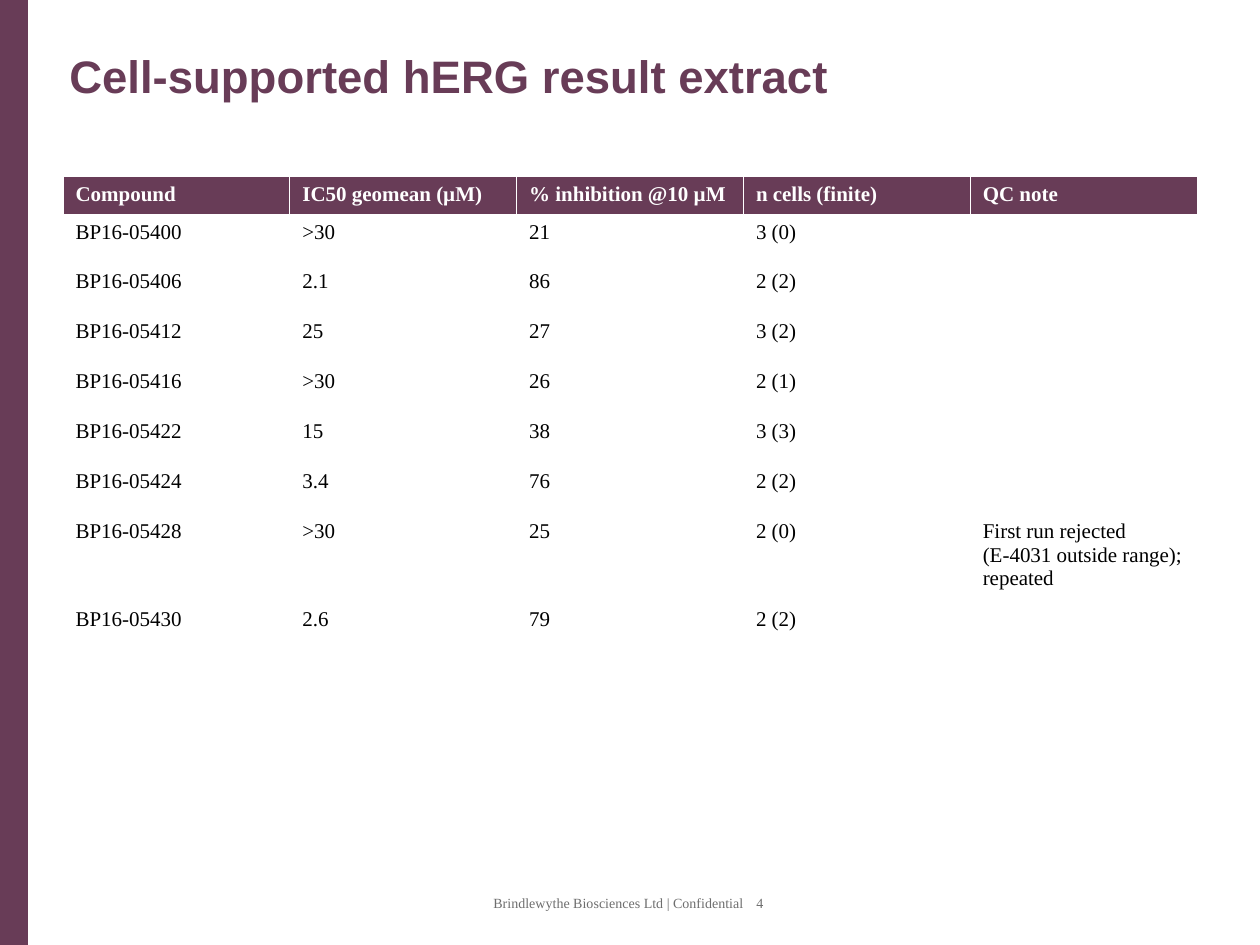
from lxml import etree
from pptx import Presentation
from pptx import util as u
from pptx.dml.color import RGBColor
from pptx.enum import shapes, text
from pptx.oxml.ns import qn

PX = u.Inches(1) / 126
PLUM = RGBColor(0x68, 0x3C, 0x57)
WHITE = RGBColor(0xFF, 0xFF, 0xFF)
BLACK = RGBColor(0, 0, 0)
GREY = RGBColor(0x6E, 0x6E, 0x6E)
SERIF = "Times New Roman"

HEADINGS = ("Compound", "IC50 geomean (µM)", "% inhibition @10 µM",
            "n cells (finite)", "QC note")
RESULTS = (
    ("BP16-05400", ">30", "21", "3 (0)", ""),
    ("BP16-05406", "2.1", "86", "2 (2)", ""),
    ("BP16-05412", "25", "27", "3 (2)", ""),
    ("BP16-05416", ">30", "26", "2 (1)", ""),
    ("BP16-05422", "15", "38", "3 (3)", ""),
    ("BP16-05424", "3.4", "76", "2 (2)", ""),
    ("BP16-05428", ">30", "25", "2 (0)",
     "First run rejected (E-4031 outside range); repeated"),
    ("BP16-05430", "2.6", "79", "2 (2)", ""),
)
HEADER_HEIGHT, ROW_HEIGHT, NOTE_ROW_HEIGHT = 38, 50, 88


def px(length):
    return u.Emu(round(length * PX))


def write(frame, words, size=12, font=SERIF, color=BLACK, bold=False, tab=None):
    paragraph = frame.paragraphs[0]
    if tab:
        stops = etree.SubElement(paragraph._p.get_or_add_pPr(), qn("a:tabLst"))
        etree.SubElement(stops, qn("a:tab"), pos=str(px(tab)), algn="l")
    if not words:
        # An empty cell keeps the line height of its row
        paragraph._p.get_or_add_endParaRPr().set("sz", str(size * 100))
        return
    run = paragraph.add_run()
    run.text = words
    run.font.size = u.Pt(size)
    run.font.name = font
    run.font.bold = bold
    run.font.color.rgb = color


def add_label(slide, words, left, top, width, height,
              anchor=text.MSO_ANCHOR.TOP, **style):
    frame = slide.shapes.add_textbox(*map(px, (left, top, width, height))).text_frame
    frame.word_wrap = True
    frame.vertical_anchor = anchor
    write(frame, words, **style)


def add_side_bar(slide, width, height):
    bar = slide.shapes.add_shape(shapes.MSO_SHAPE.RECTANGLE, 0, 0, px(width), px(height))
    bar.shadow.inherit = False
    bar.fill.solid()
    bar.fill.fore_color.rgb = PLUM
    bar.line.fill.background()


def set_borders(cell):
    properties = cell._tc.get_or_add_tcPr()
    for position, side in enumerate(("lnL", "lnR", "lnT", "lnB")):
        line = etree.Element(qn(f"a:{side}"), w=str(u.Pt(0.45)))
        fill = etree.SubElement(line, qn("a:solidFill"))
        etree.SubElement(fill, qn("a:srgbClr"), val=str(WHITE))
        properties.insert(position, line)


def add_results_table(slide, left, top, width):
    rows = (HEADINGS, *RESULTS)
    heights = [HEADER_HEIGHT] + [NOTE_ROW_HEIGHT if row[-1] else ROW_HEIGHT
                                 for row in RESULTS]
    table = slide.shapes.add_table(len(rows), len(HEADINGS), px(left), px(top),
                                   px(width), px(sum(heights))).table
    table.horz_banding = False
    for r, (row, height) in enumerate(zip(rows, heights)):
        table.rows[r].height = px(height)
        header = r == 0
        for c, words in enumerate(row):
            cell = table.cell(r, c)
            cell.fill.solid()
            cell.fill.fore_color.rgb = PLUM if header else WHITE
            set_borders(cell)
            write(cell.text_frame, words, bold=header,
                  color=WHITE if header else BLACK)


def main():
    deck = Presentation()
    deck.slide_width, deck.slide_height = px(1260), px(945)
    slide = deck.slides.add_slide(deck.slide_layouts[6])

    # Title and side bar
    add_label(slide, "Cell-supported hERG result extract", 57, 19, 1147, 113,
              anchor=text.MSO_ANCHOR.MIDDLE, size=26, font="Arial",
              color=PLUM, bold=True)
    add_side_bar(slide, 28, 945)

    # Results
    add_results_table(slide, 63, 176, 1134)

    # Footer with page number at a tab stop
    add_label(slide, "Brindlewythe Biosciences Ltd | Confidential\t4",
              481, 888, 296, 29, size=8, color=GREY, tab=263)

    deck.save("out.pptx")


if __name__ == "__main__":
    main()
